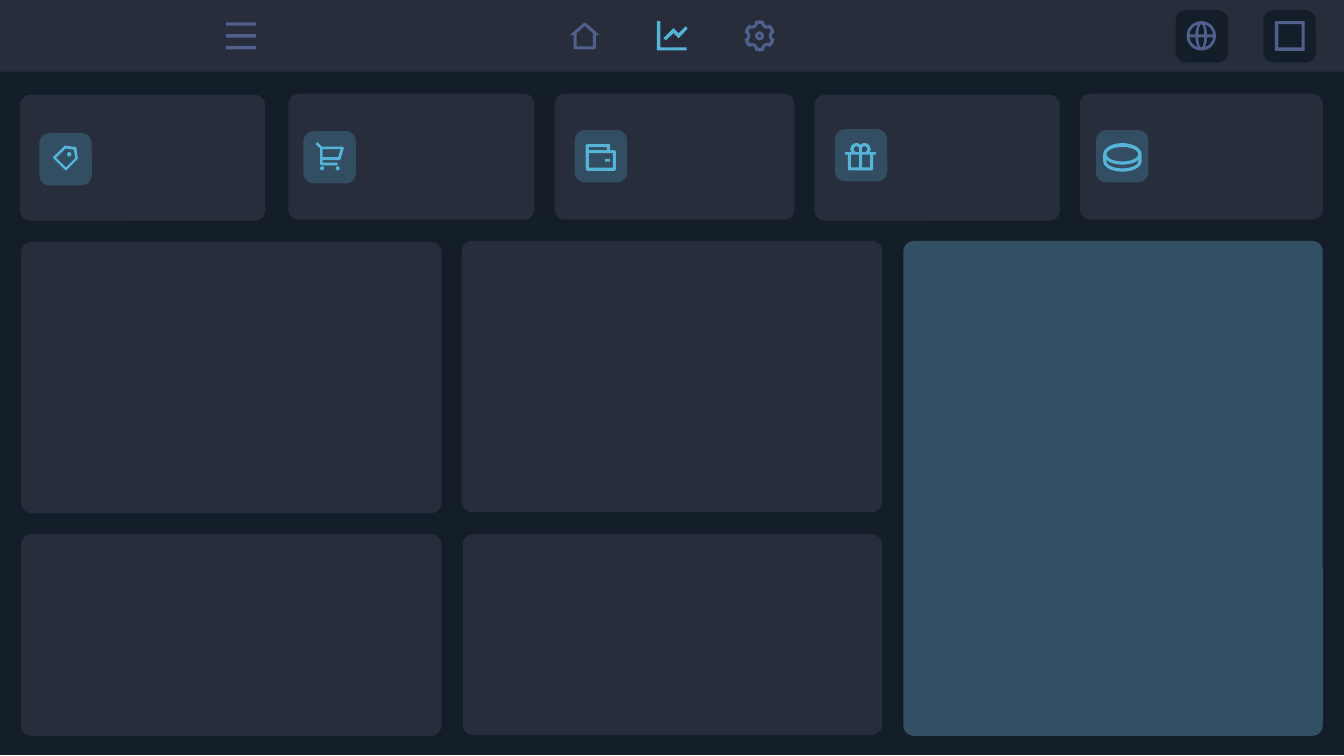
from dataclasses import dataclass
from math import cos, radians, sin

from lxml import etree
from pptx import Presentation
from pptx.dml.color import RGBColor
from pptx.enum.shapes import MSO_SHAPE
from pptx.oxml.ns import qn
from pptx.util import Inches

ROUND = MSO_SHAPE.ROUNDED_RECTANGLE
RECT = MSO_SHAPE.RECTANGLE

# The grid has 1333 columns and 750 rows of square cells.
COLS, ROWS = 1333, 750
CELL = Inches(0.01)
CURVE = 10.4  # corner radius, in cells
TILE = 52  # side of an icon tile, in cells

Point = tuple[float, float]
Path = list[Point]


@dataclass(frozen=True)
class Theme:
    back: str = "141E28"
    card: str = "282D3C"
    side: str = "334F63"
    bright: str = "55B4D7"
    muted: str = "505F8C"
    tint: int = 25  # percent opacity of a card's icon tile


@dataclass(frozen=True)
class Panel:
    col: float
    row: float
    wide: float
    high: float
    fill: str
    curve: float = CURVE
    tint: int = 100


@dataclass(frozen=True)
class Icon:
    fill: str
    paths: list[Path]


def paint(shape, fill: str, tint: int = 100) -> None:
    shape.shadow.inherit = False
    shape.line.fill.background()
    shape.fill.solid()
    shape.fill.fore_color.rgb = RGBColor.from_string(fill)
    if tint < 100:
        color = shape.element.spPr.find(f"{qn('a:solidFill')}/{qn('a:srgbClr')}")
        etree.SubElement(color, qn("a:alpha")).set("val", str(tint * 1000))


def draw_panel(slide, panel: Panel) -> None:
    area = [round(n * CELL) for n in (panel.col, panel.row, panel.wide, panel.high)]
    shape = slide.shapes.add_shape(ROUND if panel.curve else RECT, *area)
    if panel.curve:
        shape.adjustments[0] = panel.curve / min(panel.wide, panel.high)
    paint(shape, panel.fill, panel.tint)


def draw_icon(slide, icon: Icon) -> None:
    """Draw all outlines as one shape; an outline inside another is a hole."""
    paths = [[(x * CELL, y * CELL) for x, y in path] for path in icon.paths]
    pen = slide.shapes.build_freeform(*paths[0][0])
    for index, path in enumerate(paths):
        if index:
            pen.move_to(*path[0])
        pen.add_line_segments(path[1:], close=True)
    paint(pen.convert_to_shape(), icon.fill)


def box(left: float, top: float, right: float, low: float) -> Path:
    return [(left, top), (right, top), (right, low), (left, low)]


def arc(x: float, y: float, wide: float, high: float,
        start: float = 0, end: float = 360) -> Path:
    """Points on an ellipse with the given radii, clockwise from the right."""
    steps = 24
    turns = [radians(start + (end - start) * i / steps) for i in range(steps + 1)]
    return [(x + wide * cos(t), y + high * sin(t)) for t in turns]


def cog(x: float, y: float, tooth: list[Point]) -> Path:
    """Repeat a tooth, given as (angle, radius) pairs, six times."""
    return [(x + size * sin(radians(turn + angle)), y - size * cos(radians(turn + angle)))
            for turn in range(0, 360, 60) for angle, size in tooth]


def globe(x: float, y: float) -> list[Path]:
    paths = [arc(x, y, 14.6, 14.6)]
    for down in (-1, 1):
        mid = y + down * 1.5
        paths.append(arc(x, mid, 2.9, down * 10, 0, 180))
        for side in (-1, 1):
            edge = arc(x, y, side * 11.7, down * 11.7, 7, 72)
            paths.append(edge + [(x + side * 5.2, y + down * 6.5), (x + side * 5.9, mid)])
    return paths


def gear(x: float, y: float) -> list[Path]:
    rim = [(-17, 15.2), (0, 15.6), (17, 15.2), (22, 12.9), (30, 12), (38, 12.9)]
    hole = [(-6, 12), (6, 12), (18, 9.8), (30, 9), (42, 9.8)]
    return [cog(x, y, rim), cog(x, y, hole), arc(x, y, 4.4, 4.4), arc(x, y, 1.5, 1.5)]


def coin(x: float, top: float, low: float) -> list[Path]:
    return [
        arc(x, top, 19, 11, 180, 360) + arc(x, low, 19, 10.3, 0, 180),
        arc(x, top, 15.8, 7.2),
        arc(x, low, 15.8, 7, 0, 180) + arc(x, top, 19, 10.3, 148, 32),
    ]


MENU = [box(224, top, 254, top + 3.3) for top in (22.3, 34, 45.7)]
HOME = [
    [(589.5, 49), (570, 49), (569, 48), (569, 35), (565, 35), (579, 22.8),
     (581, 22.8), (595, 35), (591, 35), (591, 48)],
    [(572, 46), (588, 46), (588, 33), (580, 25.7), (572, 33)],
]
GRAPH = [
    [(651.5, 21), (655, 21), (655, 47), (681, 47), (681, 50), (651.5, 50)],
    [(680, 26), (682, 28.5), (673, 38), (668, 33), (660.5, 40), (658, 38),
     (668, 28), (673, 33)],
]
TAG = [
    [(64.3, 144.4), (75.6, 146), (77.2, 157.5), (66, 168.8), (65, 169), (53, 157),
     (52.5, 156)],
    [(65.2, 147.3), (55.5, 156.5), (65.5, 166), (74.6, 157), (73.3, 148.5)],
    arc(68.7, 153, 2.2, 2.2),
]
CART = [
    [(317.5, 147), (313, 143), (315, 141), (319.5, 145.6), (340, 145.6), (341, 147),
     (337.8, 158), (336.5, 159), (320, 159), (320, 161.3), (335, 161.3), (335, 164),
     (319, 164), (317.5, 163)],
    [(320, 148), (320, 156), (335.4, 156), (337.8, 148)],
    *(arc(x, 167, 2, 2) for x in (319.5, 335)),
]
PURSE = [
    [(582, 143), (605, 143), (605, 149), (609.5, 149), (611, 150.5),
     (611, 168), (609.5, 169.4), (582.5, 169.4), (581, 168), (581, 144)],
    box(584, 152, 608, 166.4), box(584, 146, 602, 149), box(600, 157.6, 605, 160.4),
]
GIFT = [
    [(838, 153.5), (838, 151), *arc(849.5, 148, 6, 6, 150, 308),
     *arc(857.5, 148, 6, 6, 232, 390), (869, 151), (869, 153.5), (866, 153.5),
     (866, 168), (865, 169), (842, 169), (841, 168), (841, 153.5)],
    box(844, 153.5, 852, 166), box(855, 153.5, 863, 166),
    arc(849.5, 148, 2.7, 2.9, 90, 360) + [(852.2, 151)],
    arc(857.5, 148, 2.7, 2.9, 180, 450) + [(854.8, 151)],
]
FRAME = [box(1264.5, 21, 1294, 50.4), box(1268, 24, 1291, 47)]

THEME = Theme()
PANELS = [
    Panel(0, 0, COLS, ROWS - 1, THEME.back, curve=0),
    Panel(0, 0, COLS, 71, THEME.card, curve=0),
    *(Panel(col, row, wide, 125, THEME.card) for col, row, wide in (
        (20, 94, 243), (286, 93, 244), (550, 93, 238), (808, 94, 243), (1071, 93, 241))),
    Panel(21, 240, 417, 269, THEME.card),
    Panel(458, 239, 417, 269, THEME.card),
    Panel(21, 530, 417, 200, THEME.card),
    Panel(459, 530, 416, 199, THEME.card),
    Panel(896, 239, 416, 491, THEME.side),
    *(Panel(col, row, TILE, TILE, THEME.bright, tint=THEME.tint) for col, row in (
        (39, 132), (301, 130), (570, 129), (828, 128), (1087, 129))),
    *(Panel(col, 10, TILE, TILE, THEME.back) for col in (1166, 1253)),
]
ICONS = [
    *(Icon(THEME.bright, paths) for paths in (
        TAG, CART, PURSE, GIFT, coin(1113.2, 153, 160), GRAPH)),
    *(Icon(THEME.muted, paths) for paths in (
        MENU, HOME, gear(753.4, 35.6), globe(1191.5, 35.6), FRAME)),
]


def main() -> None:
    deck = Presentation()
    deck.slide_width, deck.slide_height = COLS * CELL, ROWS * CELL
    slide = deck.slides.add_slide(deck.slide_layouts[6])
    for panel in PANELS:
        draw_panel(slide, panel)
    for icon in ICONS:
        draw_icon(slide, icon)
    deck.save("out.pptx")


if __name__ == "__main__":
    main()
